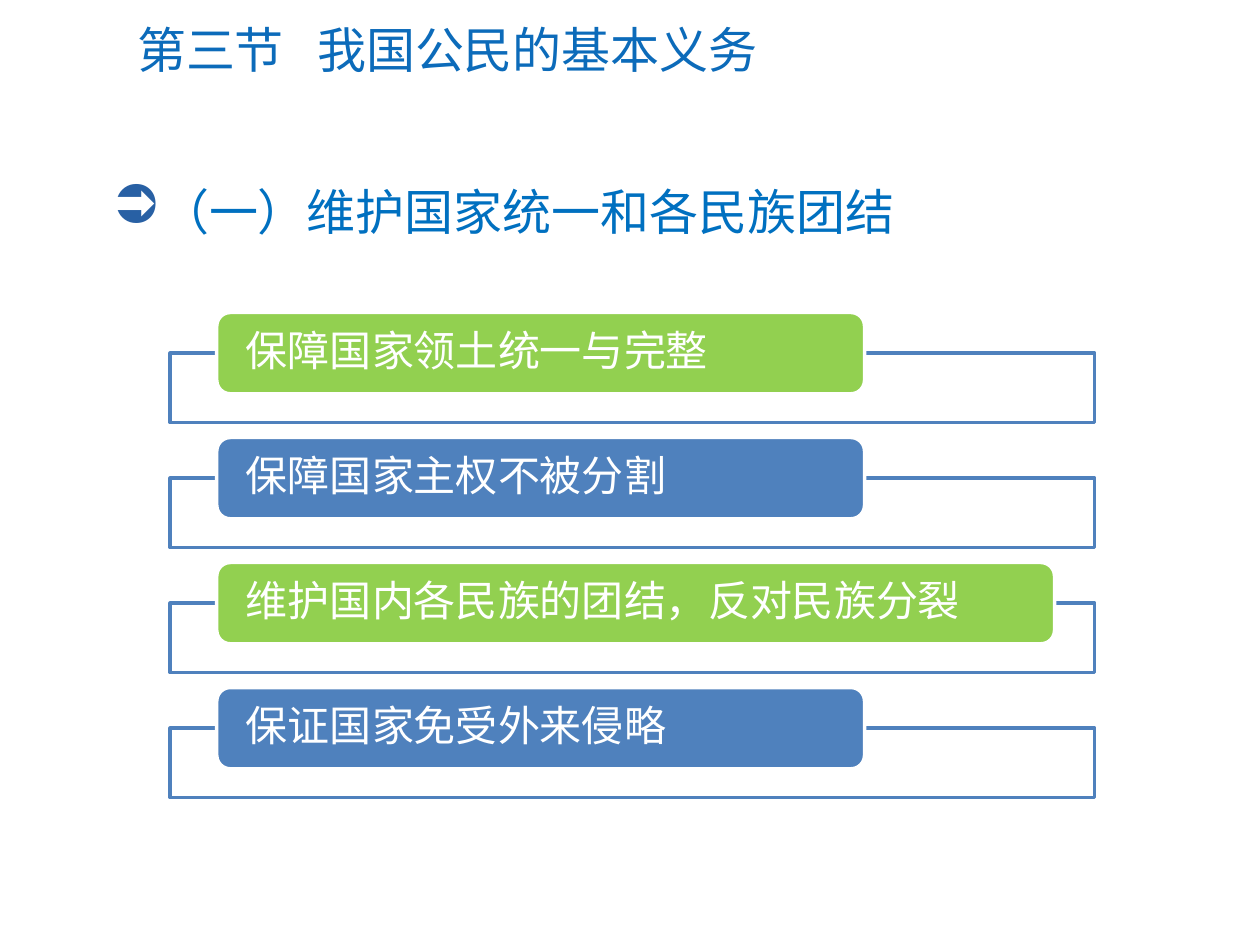
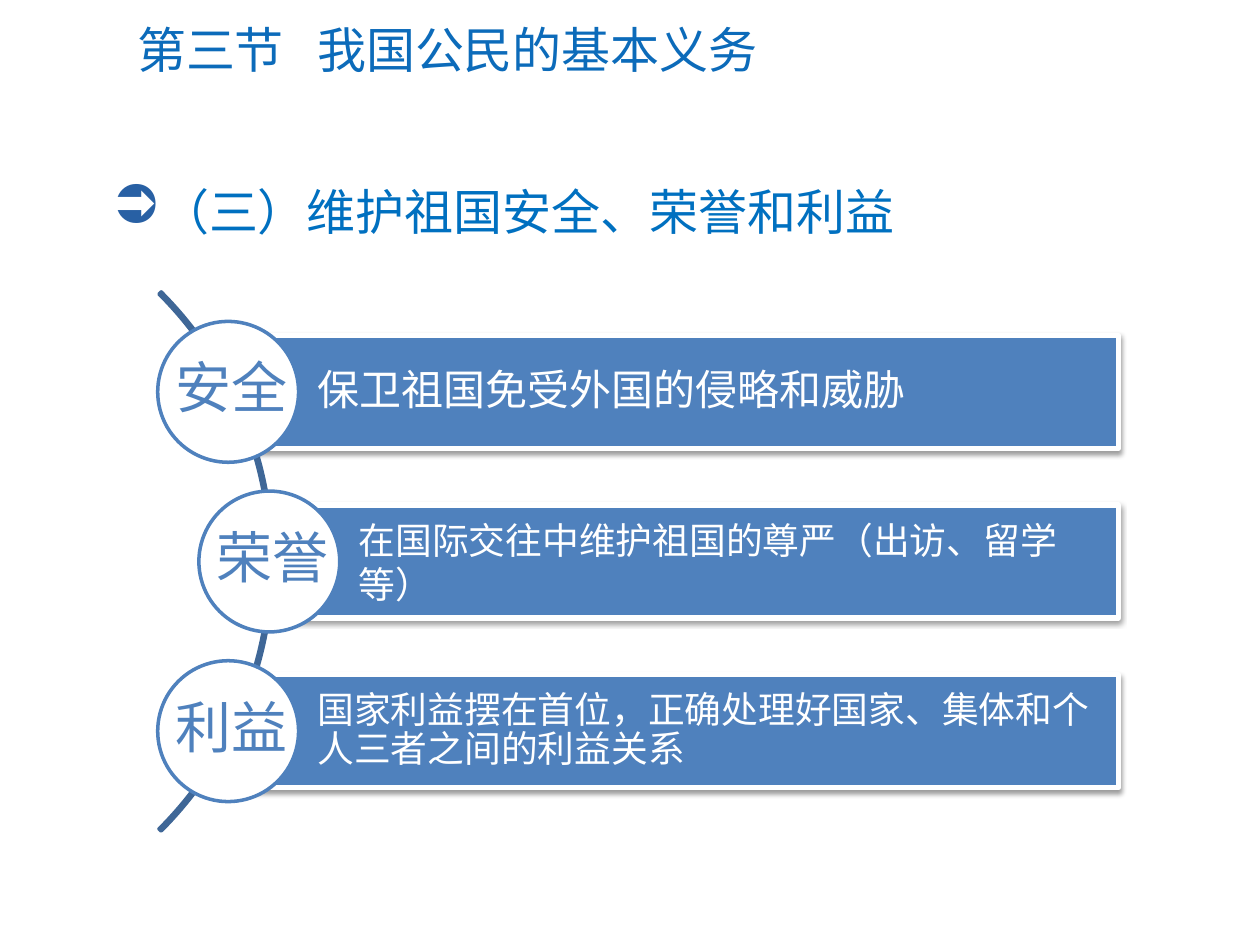
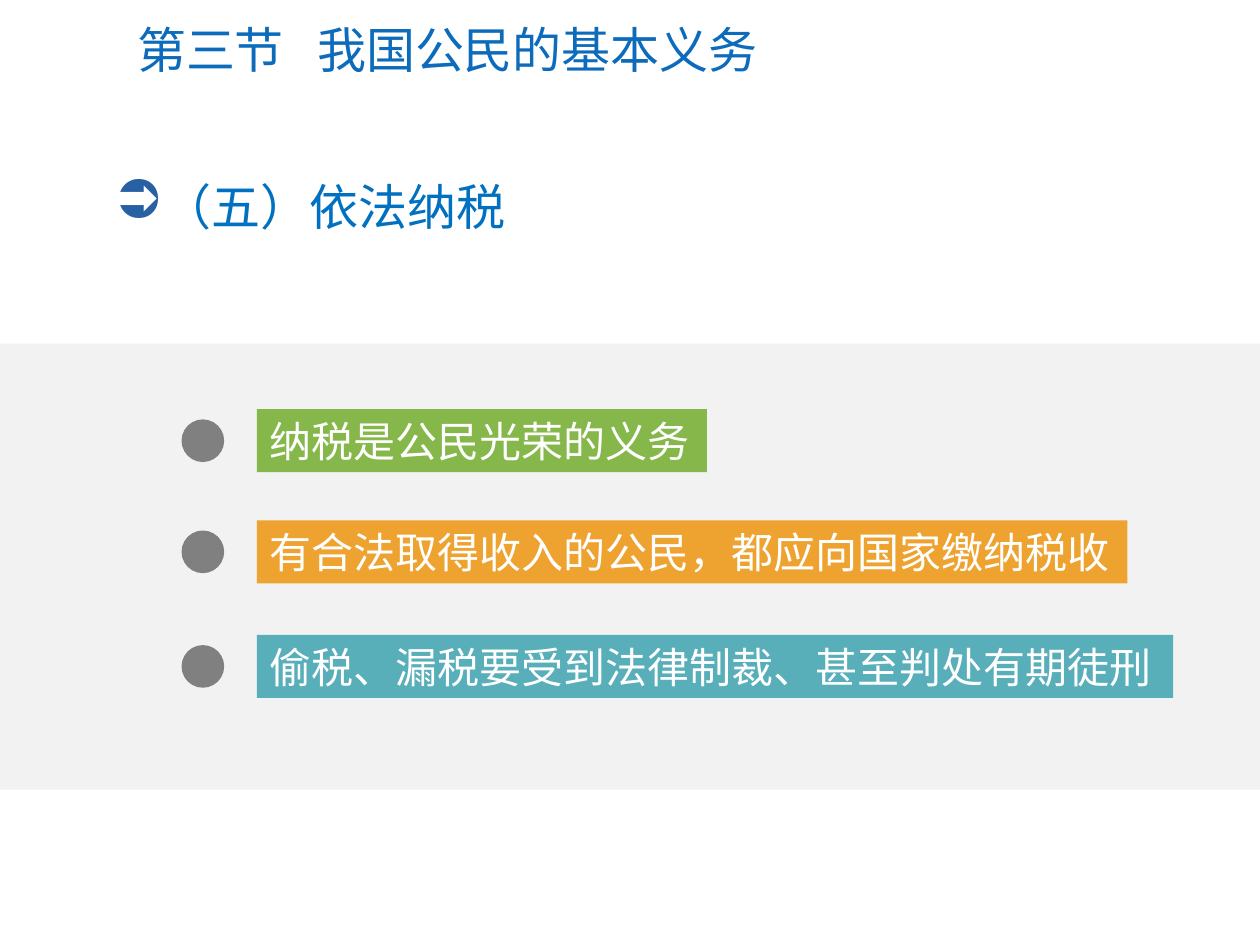
from lxml.etree import SubElement
from pptx import Presentation
from pptx.dml.color import RGBColor
from pptx.enum.shapes import MSO_SHAPE as Preset
from pptx.enum.text import MSO_ANCHOR as Anchor, MSO_AUTO_SIZE as AutoSize, PP_ALIGN as Align
from pptx.oxml.ns import qn
from pptx.util import Cm, Pt

WHITE = RGBColor(0xFF, 0xFF, 0xFF)
BLACK = RGBColor(0x00, 0x00, 0x00)
TITLE_BLUE = RGBColor(0x0C, 0x6B, 0xBA)
HEADING_BLUE = RGBColor(0x00, 0x70, 0xC0)
BULLET_BLUE = RGBColor(0x28, 0x60, 0xA4)
BLUE = RGBColor(0x4F, 0x81, 0xBD)
ARC_BLUE = RGBColor(0x3F, 0x67, 0x97)
LIME = RGBColor(0x92, 0xD0, 0x50)
PANEL_GREY = RGBColor(0xF2, 0xF2, 0xF2)
DOT_GREY = RGBColor(0x80, 0x80, 0x80)
GREEN = RGBColor(0x86, 0xB7, 0x4A)
ORANGE = RGBColor(0xEE, 0xA2, 0x30)
TEAL = RGBColor(0x58, 0xAE, 0xB9)

BODY_FONT = "Calibri"
LABEL_FONT = "Noto Sans CJK SC"
SLIDE_WIDTH, SLIDE_HEIGHT = 25.4, 19.05
SECTION = "第三节\t我国公民的基本义务"


def add_run(paragraph, text, size, color, font=BODY_FONT):
    run = paragraph.add_run()
    run.text = text
    run.font.size = Pt(size)
    run.font.color.rgb = color
    run.font.name = font
    SubElement(run._r.get_or_add_rPr(), qn("a:ea"), typeface=BODY_FONT)


def add_color(parent, color, alpha=None):
    """Append an srgbClr element, with an optional opacity in percent."""
    value = SubElement(parent, qn("a:srgbClr"), val=str(color))
    if alpha is not None:
        SubElement(value, qn("a:alpha"), val=str(alpha * 1000))


def add_preset(slide, preset, box, fill=None, line=None, weight=2):
    """Add a flat preset shape; box is left, top, width, height in cm."""
    shape = slide.shapes.add_shape(preset, *map(Cm, box))
    shape.shadow.inherit = False
    if fill is None:
        shape.fill.background()
    else:
        shape.fill.solid()
        shape.fill.fore_color.rgb = fill
    if line is None:
        shape.line.fill.background()
    else:
        shape.line.color.rgb = line
        shape.line.width = Pt(weight)
    return shape


def write_inside(shape, text, size, insets=None, spacing=None, font=BODY_FONT):
    """Put white, left-aligned, vertically centred text into a shape."""
    frame = shape.text_frame
    frame.word_wrap = True
    frame.vertical_anchor = Anchor.MIDDLE
    if insets:
        left, top, right, bottom = map(Cm, insets)
        frame.margin_left, frame.margin_top = left, top
        frame.margin_right, frame.margin_bottom = right, bottom
    paragraph = frame.paragraphs[0]
    paragraph.alignment = Align.LEFT
    if spacing:
        paragraph.line_spacing = spacing
    add_run(paragraph, text, size, WHITE, font)


def add_text_box(slide, box, wrap):
    frame = slide.shapes.add_textbox(*map(Cm, box)).text_frame
    frame.word_wrap = wrap
    frame.auto_size = AutoSize.SHAPE_TO_FIT_TEXT
    return frame.paragraphs[0]


def add_section_title(slide):
    title = slide.shapes.title
    title.left, title.top, title.width, title.height = map(Cm, (2.51, 0.25, 22.15, 1.47))
    frame = title.text_frame
    frame.auto_size = AutoSize.NONE
    frame.vertical_anchor = Anchor.MIDDLE
    paragraph = frame.paragraphs[0]
    paragraph.alignment = Align.LEFT
    tabs = SubElement(paragraph._p.get_or_add_pPr(), qn("a:tabLst"))
    SubElement(tabs, qn("a:tab"), pos=str(Cm(3.63)), algn="l")
    add_run(paragraph, SECTION, 28, TITLE_BLUE)


def add_heading(slide, text, left=2.01, top=3.53):
    paragraph = add_text_box(slide, (left, top, 21.18, 1.45), wrap=True)
    properties = paragraph._p.get_or_add_pPr()
    properties.set("marL", str(Cm(0.95)))
    properties.set("indent", str(-Cm(0.95)))
    add_color(SubElement(properties, qn("a:buClr")), BULLET_BLUE)
    SubElement(properties, qn("a:buSzPct"), val="110000")
    SubElement(properties, qn("a:buChar"), char="➲")
    add_run(paragraph, text, 28, HEADING_BLUE)


def add_duty_list(slide, left, top, width, duties):
    """Stack pills, each overlapping the upper edge of an outlined tray."""
    pitch, pill_height, tray_height = 2.52, 1.64, 1.4
    for row, (duty, pill_width) in enumerate(duties):
        pill_top = top + row * pitch
        tray = add_preset(slide, Preset.RECTANGLE,
                          (left, pill_top + pill_height / 2, width, tray_height), WHITE, BLUE)
        tray_color = tray._element.spPr.find(qn("a:solidFill"))[0]
        SubElement(tray_color, qn("a:alpha"), val="90000")
        pill = add_preset(slide, Preset.ROUNDED_RECTANGLE,
                          (left + 0.94, pill_top, pill_width, pill_height),
                          BLUE if row % 2 else LIME, WHITE)
        write_inside(pill, duty, 24, (0.51, 0, 0.51, 0), 0.9)


def add_band_shadow(band):
    effects = band._element.spPr.find(qn("a:effectLst"))
    shadow = SubElement(effects, qn("a:outerShdw"), blurRad=str(Pt(3.1)), dist=str(Pt(1.6)),
                        dir="5400000", rotWithShape="0")
    add_color(shadow, BLACK, 38)


def add_arc_list(slide, left, top, right, items):
    """Place circles along an arc, each with a band running to the right edge."""
    pitch, diameter, band_height, bulge = 3.42, 2.84, 2.28, 0.83
    arc_size = 15.37
    list_height = pitch * (len(items) - 1) + diameter
    arc = add_preset(slide, Preset.BLOCK_ARC,
                     (left - 13.05, top + (list_height - arc_size) / 2, arc_size, arc_size),
                     line=ARC_BLUE)
    for index, value in enumerate((189, 27, 0.004)):
        arc.adjustments[index] = value

    for row, (label, detail, size, spacing) in enumerate(items):
        circle_left = left + bulge * (row % 2)
        circle_top = top + row * pitch
        band_left = circle_left + diameter / 2
        band = add_preset(slide, Preset.RECTANGLE,
                          (band_left, circle_top + (diameter - band_height) / 2,
                           right - band_left, band_height), BLUE, WHITE, 3)
        add_band_shadow(band)
        write_inside(band, detail, size, (1.8, 0.15, 0.15, 0.15), spacing)
        add_preset(slide, Preset.OVAL, (circle_left, circle_top, diameter, diameter), WHITE, BLUE)
        caption = add_text_box(slide, (circle_left + 0.1, circle_top + 0.51, 2.79, 1.63),
                               wrap=False)
        add_run(caption, label, 32, BLUE, LABEL_FONT)


def add_tax_panel(slide, top, height, points):
    """Fill a full-width panel with dotted, coloured statement strips."""
    strip_height, dot_size = 1.27, 0.86
    add_preset(slide, Preset.RECTANGLE, (0, top, SLIDE_WIDTH, height), PANEL_GREY)
    for statement, offset, width, color in points:
        strip_top = top + offset
        strip = add_preset(slide, Preset.RECTANGLE, (5.18, strip_top, width, strip_height), color)
        write_inside(strip, statement, 24, font=LABEL_FONT)
        dot_top = strip_top + (strip_height - dot_size) / 2
        add_preset(slide, Preset.OVAL, (3.66, dot_top, dot_size, dot_size), DOT_GREY)


def main():
    deck = Presentation()
    deck.slide_width, deck.slide_height = Cm(SLIDE_WIDTH), Cm(SLIDE_HEIGHT)
    title_only = deck.slide_layouts[5]
    unity, honour, taxes = (deck.slides.add_slide(title_only) for _ in range(3))
    for slide in (unity, honour, taxes):
        add_section_title(slide)

    add_heading(unity, "（一）维护国家统一和各民族团结")
    add_duty_list(unity, 3.43, 6.3, 18.64, [
        ("保障国家领土统一与完整", 13.06),
        ("保障国家主权不被分割", 13.06),
        ("维护国内各民族的团结，反对民族分裂", 16.89),
        ("保证国家免受外来侵略", 13.06),
    ])

    add_heading(honour, "（三）维护祖国安全、荣誉和利益")
    add_arc_list(honour, 3.18, 6.48, 22.55, [
        ("安全", "保卫祖国免受外国的侵略和威胁", 24, 0.9),
        ("荣誉", "在国际交往中维护祖国的尊严（出访、留学等）", 21, None),
        ("利益", "国家利益摆在首位，正确处理好国家、集体和个人三者之间的利益关系", 21, 0.9),
    ])

    add_heading(taxes, "（五）依法纳税", 2.06, 3.43)
    add_tax_panel(taxes, 6.93, 8.99, [
        ("纳税是公民光荣的义务", 1.32, 9.07, GREEN),
        ("有合法取得收入的公民，都应向国家缴纳税收", 3.56, 17.55, ORANGE),
        ("偷税、漏税要受到法律制裁、甚至判处有期徒刑", 5.87, 18.47, TEAL),
    ])

    deck.save("out.pptx")


if __name__ == "__main__":
    main()
